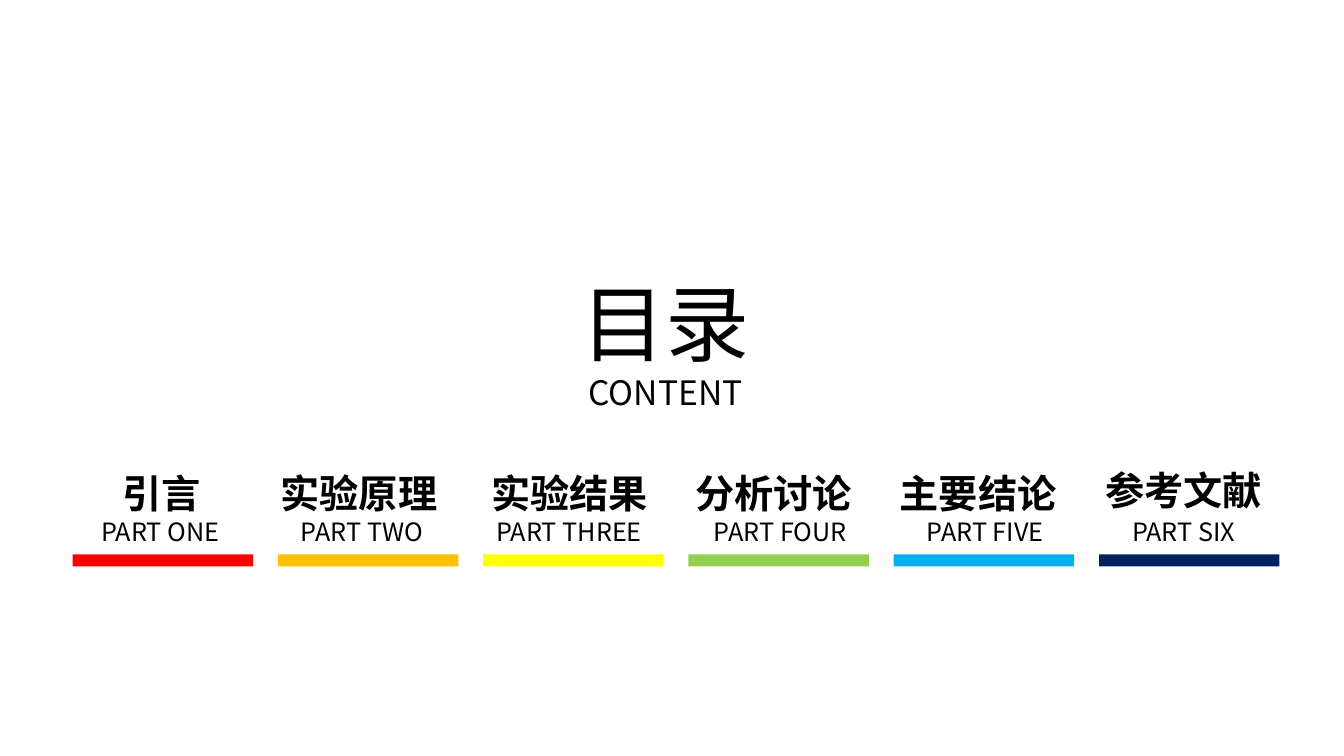
from dataclasses import dataclass

from lxml import etree
from pptx import Presentation
from pptx.dml.color import RGBColor
from pptx.enum.shapes import MSO_SHAPE
from pptx.enum.text import MSO_ANCHOR, MSO_AUTO_SIZE, PP_ALIGN
from pptx.oxml.ns import qn
from pptx.shapes.base import BaseShape
from pptx.slide import Slide
from pptx.text.text import TextFrame, _Paragraph
from pptx.util import Inches, Pt

RECTANGLE = MSO_SHAPE.RECTANGLE
TOP = MSO_ANCHOR.TOP
GROW = MSO_AUTO_SIZE.SHAPE_TO_FIT_TEXT
CENTER = PP_ALIGN.CENTER

TITLE_ONLY_LAYOUT = 5
CHINESE_FONT = "Noto Sans CJK SC"
COLORS = {
    "text": "000000",
    "red": "FF0000",
    "orange": "FFC000",
    "yellow": "FFFF00",
    "green": "92D050",
    "blue": "00B0F0",
    "navy": "002060",
}
HEADING = {"size": Pt(60), "name": "Lato", "bold": False}
SUBHEADING = {"size": Pt(24), "name": CHINESE_FONT, "bold": False}
PART_NAME = {"size": Pt(28), "name": "Lato", "bold": True}
PART_NUMBER = {"size": Pt(18), "name": CHINESE_FONT, "bold": False}

BAR_LEFT, BAR_TOP, BAR_WIDTH, BAR_HEIGHT = 0.72, 5.5, 1.79, 0.12
BAR_PITCH = 2.036
NAME_WIDTH = 1.92
NUMBER_TOP = 4.98


@dataclass(frozen=True)
class Part:
    """One entry of the contents with its label positions in inches."""

    name: str
    number: str
    color: str
    name_left: float
    number_left: float
    number_width: float
    name_top: float = 4.47
    name_height: float = 0.65
    number_height: float = 0.46


PARTS = [
    Part("引言", "PART ONE", "red", 0.64, 0.79, 1.6),
    Part("实验原理", "PART TWO", "orange", 2.6, 2.72, 1.74),
    Part("实验结果", "PART THREE", "yellow", 4.69, 4.71, 1.87),
    Part("分析讨论", "PART FOUR", "green", 6.71, 6.94, 1.6, 4.47, 0.71, 0.49),
    Part("主要结论", "PART FIVE", "blue", 8.74, 9.04, 1.46, 4.47, 0.71, 0.49),
    Part("参考文献", "PART SIX", "navy", 10.78, 11.07, 1.34, 4.44, 0.71),
]


def place(shape: BaseShape, left: float, top: float, width: float, height: float) -> None:
    """Move and size a shape, in inches."""
    box = {"left": left, "top": top, "width": width, "height": height}
    for attribute, value in box.items():
        setattr(shape, attribute, Inches(value))


def format_frame(frame: TextFrame, wrap: bool) -> None:
    """Anchor text at the top of a frame that grows with it."""
    for attribute, value in {"word_wrap": wrap, "auto_size": GROW, "vertical_anchor": TOP}.items():
        setattr(frame, attribute, value)


def write(paragraph: _Paragraph, text: str, style: dict, spacing: float = 1.0) -> None:
    """Write one centred run in the given style."""
    paragraph.alignment = CENTER
    paragraph.line_spacing = spacing
    run = paragraph.add_run()
    run.text = text
    for attribute, value in style.items():
        setattr(run.font, attribute, value)
    run.font.color.rgb = RGBColor.from_string(COLORS["text"])
    east_asian = etree.SubElement(run._r.get_or_add_rPr(), qn("a:ea"))
    east_asian.set("typeface", CHINESE_FONT)


def add_title(slide: Slide) -> None:
    """Fill the title placeholder with the two-line heading."""
    title = slide.shapes.title
    place(title, 5.66, 2.64, 1.88, 1.51)
    frame = title.text_frame
    format_frame(frame, False)
    write(frame.paragraphs[0], "目录", HEADING)
    write(frame.add_paragraph(), "CONTENT", SUBHEADING)


def add_label(
    slide: Slide, text: str, style: dict, left: float, top: float, width: float, height: float
) -> None:
    """Add a one-line label above a bar."""
    label = slide.shapes.add_textbox(Inches(left), Inches(top), Inches(width), Inches(height))
    format_frame(label.text_frame, True)
    write(label.text_frame.paragraphs[0], text, style, 1.3)


def add_bar(slide: Slide, index: int, color: str) -> None:
    """Add the coloured bar of the part at the given index."""
    bar = slide.shapes.add_shape(
        RECTANGLE,
        Inches(BAR_LEFT + index * BAR_PITCH),
        Inches(BAR_TOP),
        Inches(BAR_WIDTH),
        Inches(BAR_HEIGHT),
    )
    bar.shadow.inherit = False
    bar.fill.solid()
    bar.fill.fore_color.rgb = RGBColor.from_string(COLORS[color])
    bar.line.fill.background()


def add_part(slide: Slide, index: int, part: Part) -> None:
    """Add the number, name and bar of one part."""
    add_label(
        slide, part.number, PART_NUMBER,
        part.number_left, NUMBER_TOP, part.number_width, part.number_height,
    )
    add_label(
        slide, part.name, PART_NAME,
        part.name_left, part.name_top, NAME_WIDTH, part.name_height,
    )
    add_bar(slide, index, part.color)


def main() -> None:
    """Build the contents slide and save it."""
    presentation = Presentation()
    presentation.slide_width = Inches(13.33)
    presentation.slide_height = Inches(7.5)
    slide = presentation.slides.add_slide(presentation.slide_layouts[TITLE_ONLY_LAYOUT])
    add_title(slide)
    for index, part in enumerate(PARTS):
        add_part(slide, index, part)
    presentation.save("out.pptx")


if __name__ == "__main__":
    main()
